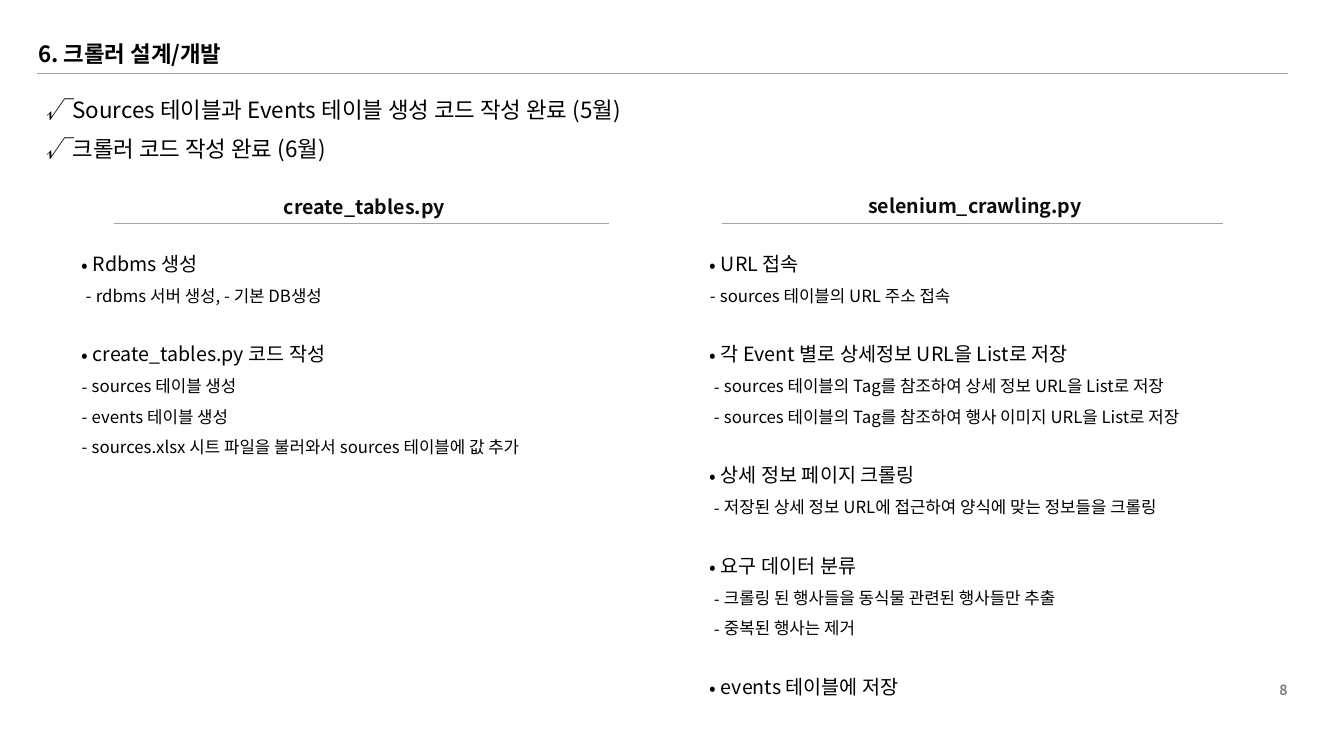
"""Builds the crawler design and development slide."""
from typing import NamedTuple

from lxml import etree
from pptx import Presentation
from pptx.dml.color import RGBColor
from pptx.enum.shapes import MSO_CONNECTOR
from pptx.enum.text import MSO_ANCHOR, MSO_AUTO_SIZE, PP_ALIGN
from pptx.oxml.ns import qn
from pptx.util import Inches, Pt

FONT = "Noto Sans CJK KR"
STRAIGHT = MSO_CONNECTOR.STRAIGHT
TOP = MSO_ANCHOR.TOP
NO_FIT = MSO_AUTO_SIZE.NONE
LEFT, CENTER = PP_ALIGN.LEFT, PP_ALIGN.CENTER
COMPARISON_LAYOUT = 4


class Box(NamedTuple):
    """Left, top, width and height in inches."""
    left: float
    top: float
    width: float
    height: float


class Rule(NamedTuple):
    """A horizontal line in inches."""
    left: float
    right: float
    y: float


class Bullet(NamedTuple):
    """Marker, text size, hanging indent and left offset of a list line."""
    char: str
    size: int
    hang: float
    offset: float
    level: int


class Column(NamedTuple):
    """A script's heading and its list of steps."""
    heading: str
    heading_box: Box
    list_box: Box
    items: list[tuple[Bullet, str]]


HEAD = Bullet("•", 14, 0.11, 0, 0)
SUB = Bullet("-", 12, 0.1, 0, 1)
SUB_IN = Bullet("-", 12, 0.1, 0.04, 1)

RULES = [Rule(0.37, 12.77, 0.73), Rule(1.13, 6.04, 2.22), Rule(7.16, 12.13, 2.22)]
DONE = ["Sources 테이블과 Events 테이블 생성 코드 작성 완료 (5월)",
        "크롤러 코드 작성 완료 (6월)"]
COLUMNS = [
    Column("create_tables.py", Box(1.18, 1.88, 4.87, 0.34), Box(0.71, 2.33, 5.85, 4.64), [
        (HEAD, "Rdbms 생성"),
        (SUB_IN, "rdbms 서버 생성, - 기본 DB생성"),
        (HEAD, "create_tables.py 코드 작성"),
        (SUB, "sources 테이블 생성"),
        (SUB, "events 테이블 생성"),
        (SUB, "sources.xlsx 시트 파일을 불러와서 sources 테이블에 값 추가"),
    ]),
    Column("selenium_crawling.py", Box(7.2, 1.87, 4.94, 0.34), Box(6.94, 2.33, 5.85, 5.1), [
        (HEAD, "URL 접속"),
        (SUB, "sources 테이블의 URL 주소 접속"),
        (HEAD, "각 Event 별로 상세정보 URL을 List로 저장"),
        (SUB_IN, "sources 테이블의 Tag를 참조하여 상세 정보 URL을 List로 저장"),
        (SUB_IN, "sources 테이블의 Tag를 참조하여 행사 이미지 URL을 List로 저장"),
        (HEAD, "상세 정보 페이지 크롤링"),
        (SUB_IN, "저장된 상세 정보 URL에 접근하여 양식에 맞는 정보들을 크롤링"),
        (HEAD, "요구 데이터 분류"),
        (SUB_IN, "크롤링 된 행사들을 동식물 관련된 행사들만 추출"),
        (SUB_IN, "중복된 행사는 제거"),
        (HEAD, "events 테이블에 저장"),
    ]),
]


def color(value: str) -> RGBColor:
    """Return the colour for a hex string."""
    return RGBColor.from_string(value)


def place(sp, box: Box):
    """Move a shape, prepare its text frame and return the frame."""
    for name, value in box._asdict().items():
        setattr(sp, name, Inches(value))
    tf = sp.text_frame
    for name, value in {"word_wrap": True, "auto_size": NO_FIT, "vertical_anchor": TOP}.items():
        setattr(tf, name, value)
    return tf


def add_run(p, text: str, size: int, hex_color: str = "000000",
            bold: bool = False, italic: bool = False) -> None:
    """Add a formatted run to a paragraph."""
    r = p.add_run()
    r.text = text
    for name, value in {"name": FONT, "size": Pt(size), "bold": bold, "italic": italic}.items():
        setattr(r.font, name, value)
    r.font.color.rgb = color(hex_color)
    etree.SubElement(r.font._element, qn("a:ea"), typeface=FONT)


def format_paragraph(p, spacing: float = 1.0, before: int = 0, align=LEFT) -> None:
    """Set the spacing and alignment of a paragraph."""
    values = {"line_spacing": spacing, "space_before": Pt(before),
              "space_after": Pt(0), "alignment": align}
    for name, value in values.items():
        setattr(p, name, value)


def paragraphs(tf, count: int) -> list:
    """Return the given number of paragraphs of an empty frame."""
    return [tf.paragraphs[0], *(tf.add_paragraph() for _ in range(count - 1))]


def set_bullet(p, bullet: Bullet) -> None:
    """Give a paragraph its bullet and hanging indent."""
    p.level = bullet.level
    pPr = p._p.get_or_add_pPr()
    pPr.set("marL", str(Inches(bullet.offset + bullet.hang)))
    pPr.set("indent", str(-Inches(bullet.hang)))
    etree.SubElement(pPr, qn("a:buFont"), typeface=FONT)
    etree.SubElement(pPr, qn("a:buChar"), char=bullet.char)


def add_rule(s, rule: Rule) -> None:
    """Draw a thin grey line."""
    y = Inches(rule.y)
    line = s.shapes.add_connector(STRAIGHT, Inches(rule.left), y, Inches(rule.right), y)
    line.line.color.rgb = color("A5A5A5")
    line.line.width = Pt(0.75)
    etree.SubElement(line._element.spPr, qn("a:effectLst"))


def fill_column(heading, body, column: Column) -> None:
    """Write a column into its heading and list placeholders."""
    p = place(heading, column.heading_box).paragraphs[0]
    format_paragraph(p, align=CENTER)
    add_run(p, column.heading, 14, "0C0C0C", bold=True)
    tf = place(body, column.list_box)
    for i, (p, (bullet, text)) in enumerate(zip(paragraphs(tf, len(column.items)), column.items)):
        format_paragraph(p, 1.5, before=18 if i and bullet is HEAD else 0)
        set_bullet(p, bullet)
        add_run(p, text, bullet.size)


def main() -> None:
    """Build and save the slide."""
    prs = Presentation()
    prs.slide_width, prs.slide_height = Inches(13.33), Inches(7.5)
    s = prs.slides.add_slide(prs.slide_layouts[COMPARISON_LAYOUT])
    title, *bodies = s.placeholders

    p = place(title, Box(0.28, 0.23, 5.37, 0.37)).paragraphs[0]
    format_paragraph(p, 1.44)
    add_run(p, "6. 크롤러 설계/개발", 16, bold=True)

    for rule in RULES:
        add_rule(s, rule)

    tf = place(s.shapes.add_textbox(0, 0, 0, 0), Box(0.35, 0.79, 12.71, 0.76))
    for p, text in zip(paragraphs(tf, len(DONE)), DONE):
        format_paragraph(p, 1.44)
        add_run(p, "√ ", 16, italic=True)
        add_run(p, text, 16)

    for heading, body, column in zip(bodies[::2], bodies[1::2], COLUMNS):
        fill_column(heading, body, column)

    p = place(s.shapes.add_textbox(0, 0, 0, 0), Box(12.59, 6.71, 0.72, 0.4)).paragraphs[0]
    add_run(p, "8", 10, "7F7F7F", bold=True)
    prs.save("out.pptx")


if __name__ == "__main__":
    main()
